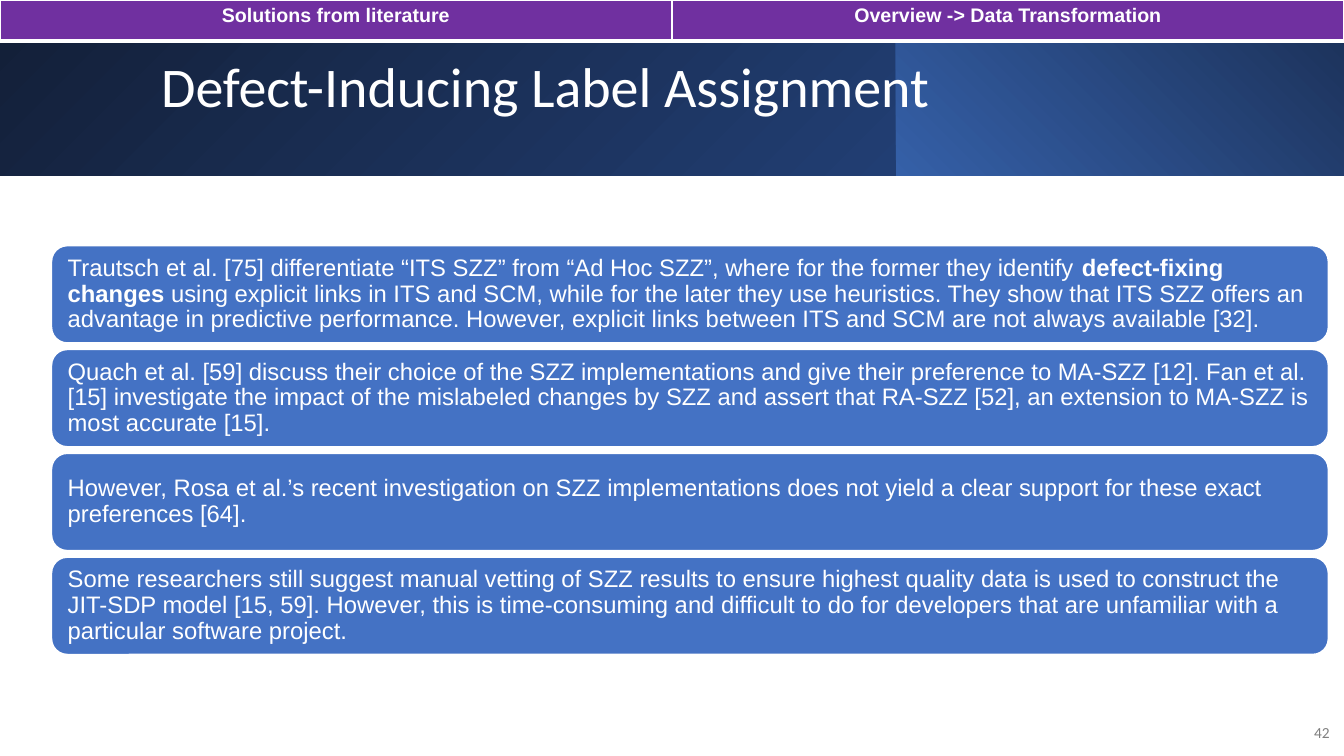
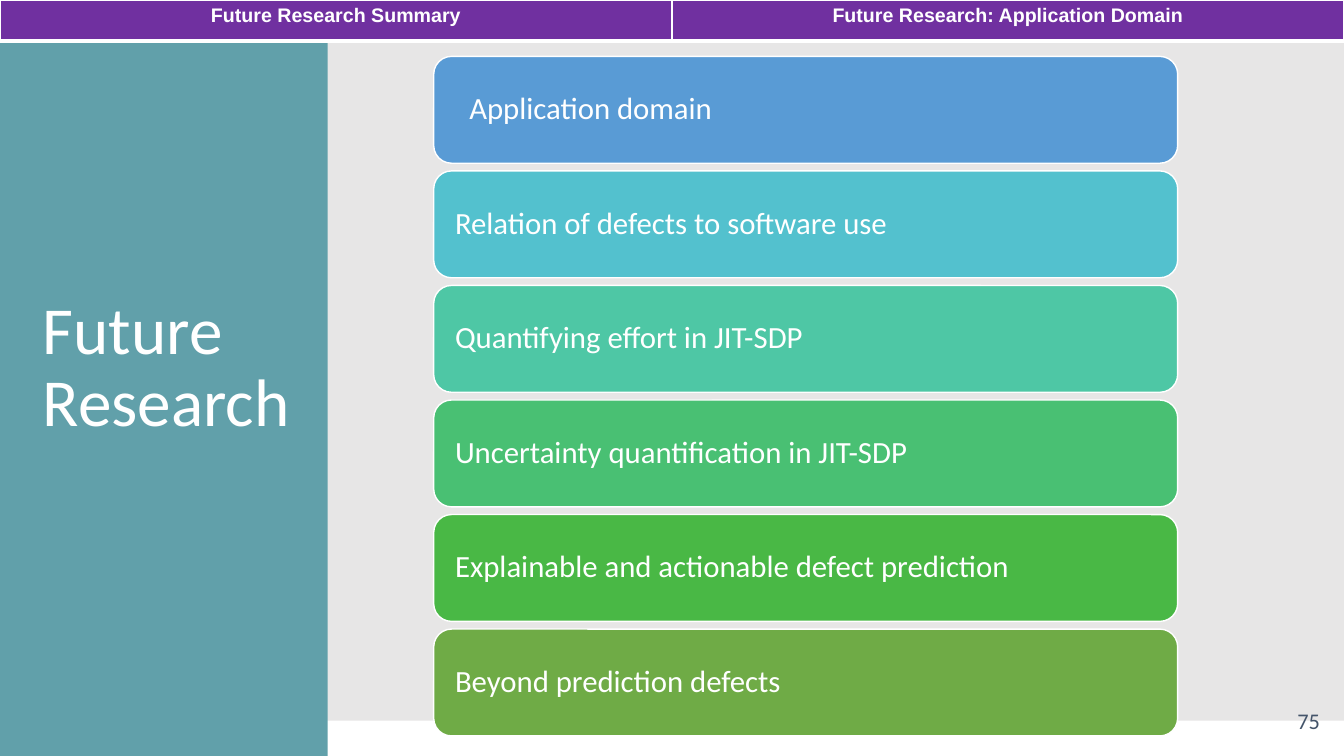
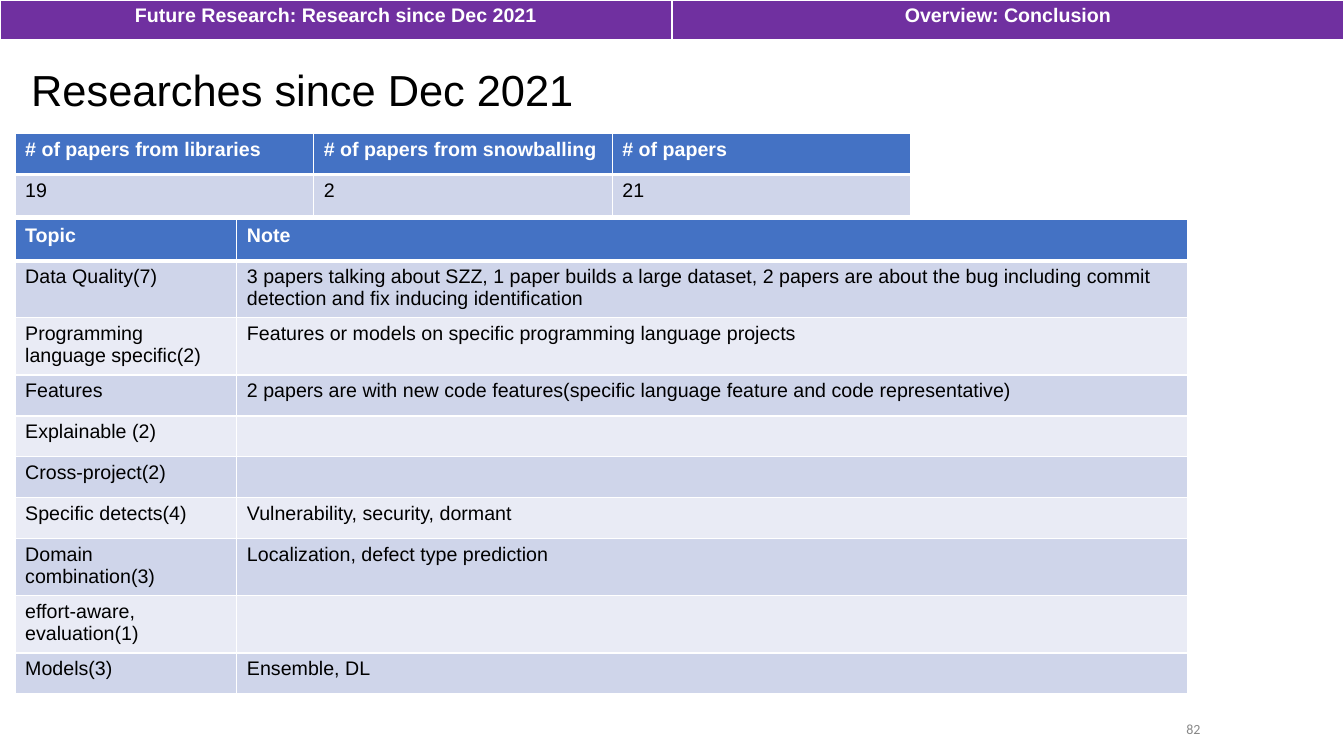
from lxml.etree import SubElement
from pptx import Presentation
from pptx.dml.color import RGBColor
from pptx.enum.shapes import MSO_SHAPE as Shape
from pptx.enum.text import MSO_ANCHOR as Anchor, PP_ALIGN as Align
from pptx.oxml.ns import qn
from pptx.util import Pt

WIDTH, HEIGHT = 960, 540
ROW_HEIGHT = 29.2

COLORS = {
    "white": "FFFFFF", "black": "000000", "purple": "7030A0", "blue": "4472C4",
    "band_dark": "131F37", "band_mid": "213E73", "glow": "3560A8", "glow_dark": "1B3057",
    "teal": "61A0AA", "light_gray": "E7E6E6", "slate": "44546A",
    "gray": "808080", "pale_gray": "888888",
    "odd_row": "CFD5EA", "even_row": "E9EBF5",
}

FINDINGS = [
    [("Trautsch et al. [75] differentiate “ITS SZZ” from “Ad Hoc SZZ”, where for the former "
      "they identify ", False),
     ("defect-fixing changes ", True),
     ("using explicit links in ITS and SCM, while for the later they use heuristics. They show "
      "that ITS SZZ offers an advantage in predictive performance. However, explicit links "
      "between ITS and SCM are not always available [32].", False)],
    "Quach et al. [59] discuss their choice of the SZZ implementations and give their preference "
    "to MA-SZZ [12]. Fan et al. [15] investigate the impact of the mislabeled changes by SZZ and "
    "assert that RA-SZZ [52], an extension to MA-SZZ is most accurate [15].",
    "However, Rosa et al.’s recent investigation on SZZ implementations does not yield a clear "
    "support for these exact preferences [64].",
    "Some researchers still suggest manual vetting of SZZ results to ensure highest quality data "
    "is used to construct the JIT-SDP model [15, 59]. However, this is time-consuming and "
    "difficult to do for developers that are unfamiliar with a particular software project.",
]

DIRECTIONS = [
    ("Application domain", "599BD5"),
    ("Relation of defects to software use", "53C1CE"),
    ("Quantifying effort in JIT-SDP", "4EC7A5"),
    ("Uncertainty quantification in JIT-SDP", "49C073"),
    ("Explainable and actionable defect prediction", "49B845"),
    ("Beyond prediction defects", "6FAB46"),
]

PAPER_COUNTS = [
    ["# of papers from libraries", "# of papers from snowballing", "# of papers"],
    ["19", "2", "21"],
]

TOPICS = [
    ["Topic", "Note"],
    ["Data Quality(7)", "3 papers talking about SZZ, 1 paper builds a large dataset, 2 papers are "
     "about the bug including commit detection and fix inducing identification"],
    ["Programming language specific(2)",
     "Features or models on specific programming language projects"],
    ["Features", "2 papers are with new code features(specific language feature and code "
     "representative)"],
    ["Explainable (2)", ""],
    ["Cross-project(2)", ""],
    ["Specific detects(4)", "Vulnerability, security, dormant"],
    ["Domain combination(3)", "Localization, defect type prediction"],
    ["effort-aware, evaluation(1)", ""],
    ["Models(3)", "Ensemble, DL"],
]


def rgb(color):
    return RGBColor.from_string(COLORS.get(color, color))


def write(text_frame, text, size, font="Arial", color="white", bold=False,
          align=Align.LEFT, spacing=None):
    """Write one paragraph; text is a string or a list of (text, bold) pairs."""
    paragraph = text_frame.paragraphs[0]
    paragraph.alignment = align
    paragraph.line_spacing = spacing
    segments = [(text, bold)] if isinstance(text, str) else text
    for words, is_bold in segments:
        if not words:
            continue
        run = paragraph.add_run()
        run.text = words
        run.font.size = Pt(size)
        run.font.name = font
        run.font.bold = is_bold
        run.font.color.rgb = rgb(color)


def add_text(slide, box, text, size, anchor=Anchor.MIDDLE, **style):
    text_box = slide.shapes.add_textbox(*map(Pt, box))
    text_frame = text_box.text_frame
    text_frame.word_wrap = True
    text_frame.vertical_anchor = anchor
    write(text_frame, text, size, **style)


def add_block(slide, box, fill, kind=Shape.RECTANGLE, line_width=0):
    shape = slide.shapes.add_shape(kind, *map(Pt, box))
    shape.shadow.inherit = False
    shape.fill.solid()
    shape.fill.fore_color.rgb = rgb(fill)
    if line_width:
        shape.line.color.rgb = rgb("white")
        shape.line.width = Pt(line_width)
    else:
        shape.line.fill.background()
    return shape


def add_gradient(slide, box, start, end, angle):
    fill = add_block(slide, box, start).fill
    fill.gradient()
    fill.gradient_angle = angle
    for stop, color in zip(fill.gradient_stops, (start, end)):
        stop.color.rgb = rgb(color)


def add_card(slide, box, text, size, fill, line_width, inset, font):
    card = add_block(slide, box, fill, Shape.ROUNDED_RECTANGLE, line_width)
    text_frame = card.text_frame
    text_frame.word_wrap = True
    text_frame.vertical_anchor = Anchor.MIDDLE
    text_frame.margin_left = Pt(inset)
    text_frame.margin_right = Pt(8)
    write(text_frame, text, size, font=font, spacing=0.9)


def set_borders(cell, bottom_width):
    properties = cell._tc.get_or_add_tcPr()
    for side, width in (("L", 1), ("R", 1), ("T", 1), ("B", bottom_width)):
        line = SubElement(properties, qn(f"a:ln{side}"), w=str(Pt(width)))
        solid = SubElement(line, qn("a:solidFill"))
        SubElement(solid, qn("a:srgbClr"), val=COLORS["white"])


def add_grid(slide, left, top, column_widths, rows, header_fill="blue", align=Align.LEFT):
    """Table with a bold header row and banded rows below it."""
    frame = slide.shapes.add_table(len(rows), len(column_widths), Pt(left), Pt(top),
                                   Pt(sum(column_widths)), Pt(ROW_HEIGHT * len(rows)))
    table = frame.table
    table.horz_banding = False
    for column, width in zip(table.columns, column_widths):
        column.width = Pt(width)
    for row_index, row in enumerate(rows):
        is_header = row_index == 0
        band = "odd_row" if row_index % 2 else "even_row"
        table.rows[row_index].height = Pt(ROW_HEIGHT)
        for column_index, text in enumerate(row):
            cell = table.cell(row_index, column_index)
            set_borders(cell, 3 if is_header else 1)
            cell.fill.solid()
            cell.fill.fore_color.rgb = rgb(header_fill if is_header else band)
            write(cell.text_frame, text, 14, color="white" if is_header else "black",
                  bold=is_header, align=align)


def add_navigation(slide, section, following):
    add_grid(slide, 0, 0, [WIDTH / 2] * 2, [[section, following]], "purple", Align.CENTER)


def add_title_band(slide, box, title):
    left, top, width, height = box
    split = width * 2 / 3
    add_gradient(slide, (left, top, split, height), "band_dark", "band_mid", 315)
    add_gradient(slide, (left + split, top, width - split, height), "glow", "glow_dark", 45)
    add_text(slide, (left + 108, top + 23, 779, 81.5), title, 40, font="Calibri", spacing=0.9)


def add_findings(slide, box):
    left, top, width, height = box
    gap = 3.7
    card_height = (height - gap * (len(FINDINGS) - 1)) / len(FINDINGS)
    for index, text in enumerate(FINDINGS):
        card_top = top + index * (card_height + gap)
        add_card(slide, (left, card_top, width, card_height), text, 17, "blue", 2, 8.6, "Arial")


def add_side_panel(slide, box, title):
    left, top, width, height = box
    add_block(slide, box, "teal")
    add_text(slide, (left + 23.5, top + 53, width - 38, height - 119), title, 48,
             font="Calibri", spacing=0.9)


def add_directions(slide, box):
    left, top, width, height = box
    gap = 5.5
    card_height = (height - gap * (len(DIRECTIONS) - 1)) / len(DIRECTIONS)
    for index, (text, fill) in enumerate(DIRECTIONS):
        card_top = top + index * (card_height + gap)
        inset = 21.7 if index == 0 else 11.5
        add_card(slide, (left, card_top, width, card_height), text, 22, fill, 1, inset, "Calibri")


def build_label_slide(slide):
    add_title_band(slide, (0, 0, WIDTH, 125.5), "Defect-Inducing Label Assignment")
    add_text(slide, (921.5, 508.5, 35.5, 28.8), "42", 11, font="Calibri", color="gray",
             align=Align.RIGHT)
    add_findings(slide, (36.3, 175, 913, 293))
    add_navigation(slide, "Solutions from literature", "Overview -> Data Transformation")


def build_future_slide(slide):
    add_block(slide, (63, 0, WIDTH - 63, 514.8), "light_gray")
    add_side_panel(slide, (0, 0, 234, HEIGHT), "Future Research")
    add_text(slide, (909.5, 490, 50.5, 50), "75", 16, font="Calibri", color="slate",
             align=Align.CENTER)
    add_directions(slide, (309.8, 40.3, 531.4, 485.4))
    add_navigation(slide, "Future Research Summary", "Future Research: Application Domain")


def build_recent_slide(slide):
    add_grid(slide, 10.8, 157, [158.4, 678.8], TOPICS)
    add_text(slide, (15.2, 44.6, 827, 44.6), "Researches since Dec 2021", 31, color="black",
             spacing=0.8)
    add_text(slide, (684, 508.5, 180.5, 23.8), "82", 10, font="Calibri", color="pale_gray",
             align=Align.RIGHT)
    add_grid(slide, 10.8, 95.5, [213.3] * 3, PAPER_COUNTS)
    add_navigation(slide, "Future Research: Research since Dec 2021", "Overview: Conclusion")


def main():
    presentation = Presentation()
    presentation.slide_width = Pt(WIDTH)
    presentation.slide_height = Pt(HEIGHT)
    blank = presentation.slide_layouts[6]
    for build in (build_label_slide, build_future_slide, build_recent_slide):
        build(presentation.slides.add_slide(blank))
    presentation.save("out.pptx")


if __name__ == "__main__":
    main()
